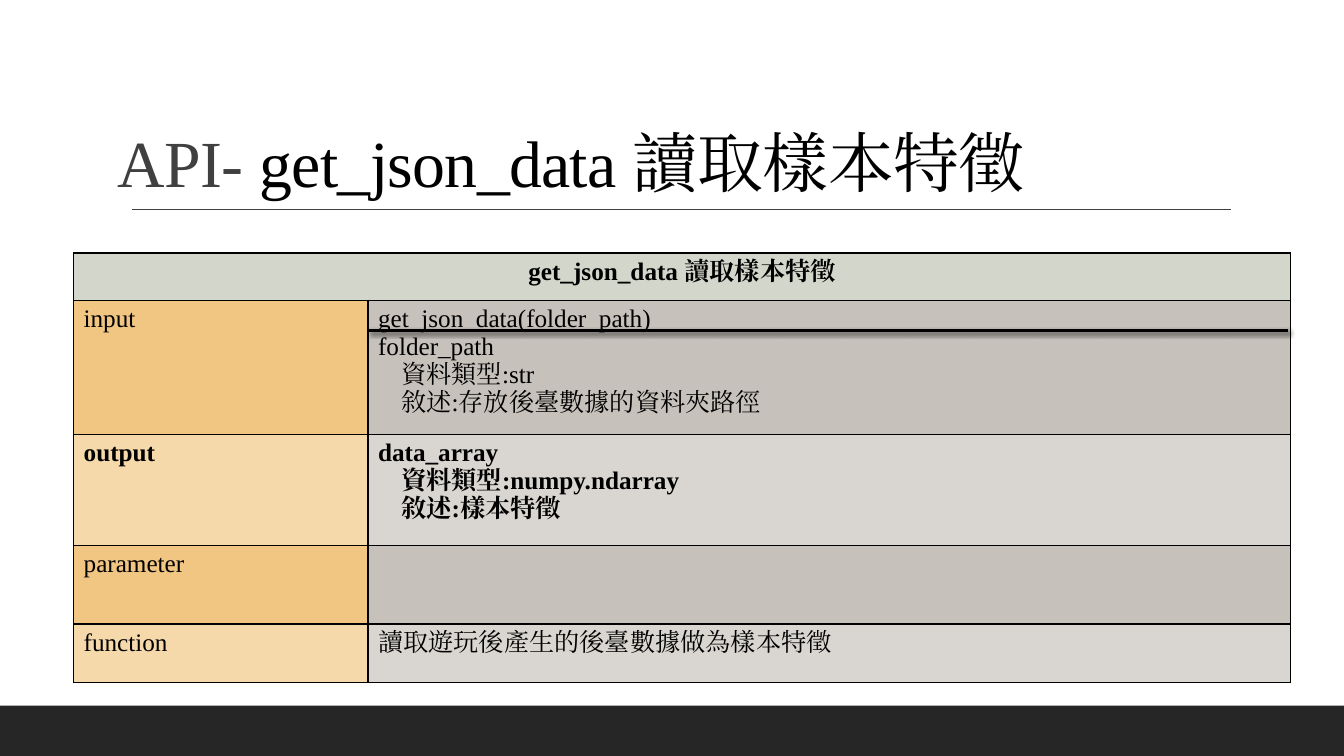
from lxml import etree
from pptx import Presentation
from pptx.dml.color import RGBColor
from pptx.enum.shapes import MSO_CONNECTOR, MSO_SHAPE
from pptx.enum.text import MSO_ANCHOR, PP_ALIGN
from pptx.oxml import parse_xml
from pptx.oxml.ns import nsdecls, qn
from pptx.util import Inches, Pt

FONT = "Times New Roman"
BLACK = "000000"
DETAIL_INDENT = Inches(0.23)
COLUMN_WIDTHS = (2.92, 9.15)
DARK_ROW = ("F0C682", "C6C1BA")
LIGHT_ROW = ("F5D9AB", "D9D6D1")

HEADING = "get_json_data 讀取樣本特徵"
# Each row: height, label, lines, fills, bold. A line starting with a tab is indented.
INPUT_ROWS = [
    (0.47, HEADING, [], ("D3D6CA", "D3D6CA"), True),
    (1.34, "input",
     ["get_json_data(folder_path)", "folder_path", "\t資料類型:str", "\t敘述:存放後臺數據的資料夾路徑"],
     DARK_ROW, False),
]
OUTPUT_ROWS = [
    (1.1, "output", ["data_array", "\t資料類型:numpy.ndarray", "\t敘述:樣本特徵"], LIGHT_ROW, True),
    (0.78, "parameter", [], DARK_ROW, False),
    (0.58, "function", ["讀取遊玩後產生的後臺數據做為樣本特徵"], LIGHT_ROW, False),
]


def rgb(value):
    return RGBColor.from_string(value)


def add_run(paragraph, text, size, color=BLACK, bold=False):
    run = paragraph.add_run()
    run.text = text
    for name, value in {"name": FONT, "size": Pt(size), "bold": bold}.items():
        setattr(run.font, name, value)
    run.font.color.rgb = rgb(color)
    properties = run.font._element
    east_asian = etree.Element(qn("a:ea"), typeface=FONT)
    properties.find(qn("a:latin")).addnext(east_asian)
    return run


def add_title(slide):
    title = slide.shapes.add_textbox(Inches(1.07), Inches(0.46), Inches(11.19), Inches(1.59))
    frame = title.text_frame
    frame.word_wrap = True
    frame.vertical_anchor = MSO_ANCHOR.BOTTOM
    paragraph = frame.paragraphs[0]
    paragraph.line_spacing = 0.9
    for text, color in (("API- ", "404040"), (HEADING, BLACK)):
        run = add_run(paragraph, text, 47, color)
        run.font._element.set("spc", "-50")


def add_footer_band(slide):
    band = slide.shapes.add_shape(MSO_SHAPE.RECTANGLE, 0, Inches(7), Inches(13.33), Inches(0.5))
    band.shadow.inherit = False
    band.fill.solid()
    band.fill.fore_color.rgb = rgb("262626")
    band.line.fill.background()


def add_rule(slide, left, right, y, color, width, shadow=False):
    rule = slide.shapes.add_connector(
        MSO_CONNECTOR.STRAIGHT, Inches(left), Inches(y), Inches(right), Inches(y))
    rule.line.color.rgb = rgb(color)
    rule.line.width = Pt(width)
    effects = etree.SubElement(rule._element.spPr, qn("a:effectLst"))
    if shadow:
        effects.append(parse_xml(
            f'<a:outerShdw {nsdecls("a")} blurRad="{Pt(3)}" dist="{Pt(2)}" dir="2700000">'
            f'<a:srgbClr val="{BLACK}"><a:alpha val="60000"/></a:srgbClr></a:outerShdw>'))


def set_borders(cell):
    properties = cell._tc.get_or_add_tcPr()
    for position, side in enumerate(("lnL", "lnR", "lnT", "lnB")):
        properties.insert(position, parse_xml(
            f'<a:{side} {nsdecls("a")} w="{Pt(1)}"><a:solidFill>'
            f'<a:srgbClr val="{BLACK}"/></a:solidFill></a:{side}>'))


def fill_cell(cell, lines, fill, bold):
    cell.fill.solid()
    cell.fill.fore_color.rgb = rgb(fill)
    set_borders(cell)
    frame = cell.text_frame
    for index, line in enumerate(lines):
        paragraph = frame.add_paragraph() if index else frame.paragraphs[0]
        if line.startswith("\t"):
            paragraph._p.get_or_add_pPr().set("marL", str(DETAIL_INDENT))
        add_run(paragraph, line.strip(), 18, bold=bold)


def add_api_table(slide, top, rows):
    height = sum(row[0] for row in rows)
    table = slide.shapes.add_table(
        len(rows), len(COLUMN_WIDTHS), Inches(0.73), Inches(top),
        Inches(sum(COLUMN_WIDTHS)), Inches(height)).table
    for column, width in zip(table.columns, COLUMN_WIDTHS):
        column.width = Inches(width)
    for index, (row_height, label, lines, fills, bold) in enumerate(rows):
        table.rows[index].height = Inches(row_height)
        for column, content in enumerate(([label], lines)):
            fill_cell(table.cell(index, column), content, fills[column], bold)
    return table


def main():
    presentation = Presentation()
    presentation.slide_width = Inches(13.33)
    presentation.slide_height = Inches(7.5)
    slide = presentation.slides.add_slide(presentation.slide_layouts[6])

    add_footer_band(slide)
    add_rule(slide, 1.31, 12.21, 2.08, "404040", 1)
    input_table = add_api_table(slide, 2.51, INPUT_ROWS)
    heading = input_table.cell(0, 0)
    heading.merge(input_table.cell(0, 1))
    heading.text_frame.paragraphs[0].alignment = PP_ALIGN.CENTER
    add_api_table(slide, 4.31, OUTPUT_ROWS)
    add_rule(slide, 3.65, 12.77, 3.28, BLACK, 2, shadow=True)
    add_title(slide)
    presentation.save("out.pptx")


if __name__ == "__main__":
    main()
